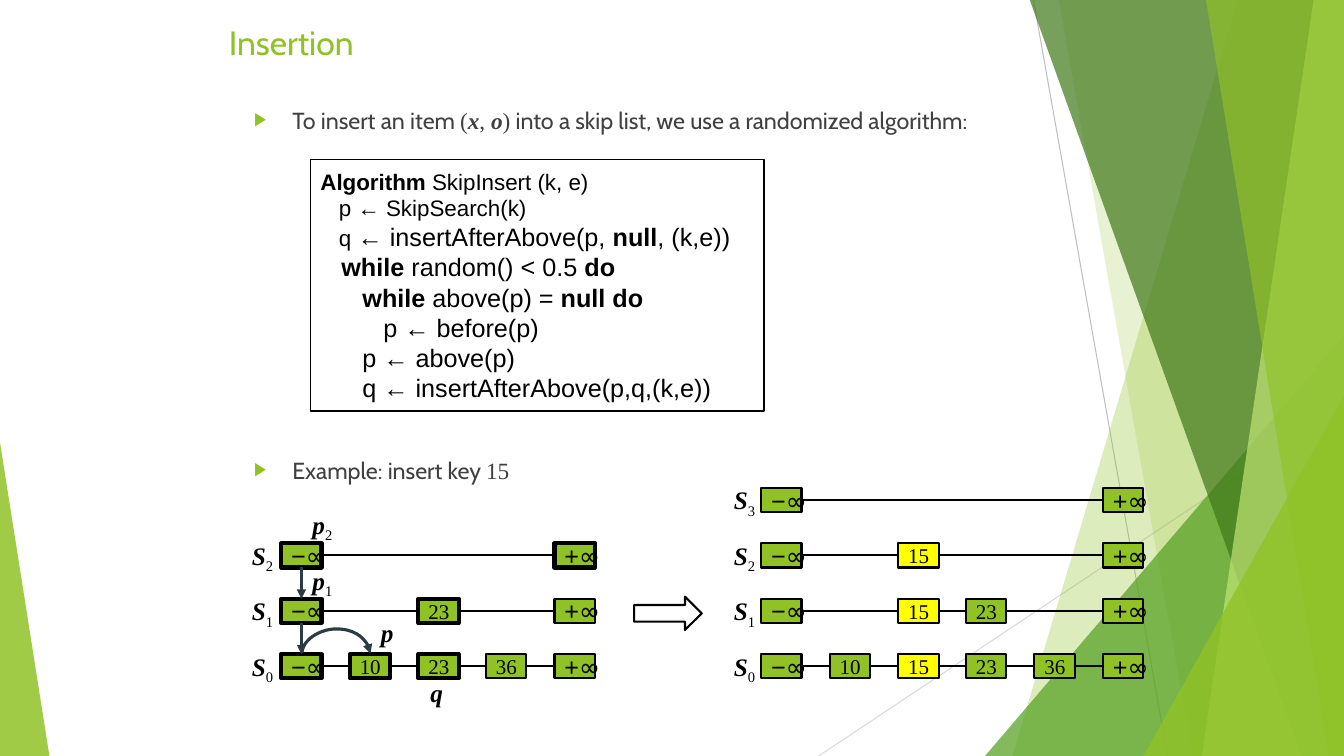
from dataclasses import dataclass
from itertools import pairwise

import pptx
import pptx.dml.color
import pptx.enum.shapes
import pptx.enum.text
import pptx.oxml
import pptx.oxml.ns
import pptx.util
from lxml import etree

RGB = pptx.dml.color.RGBColor
LIME = RGB(0x90, 0xC2, 0x26)
GREEN = RGB(0x54, 0xA0, 0x21)
FOREST = RGB(0x3F, 0x78, 0x19)
PALE_LIME = RGB(0xC0, 0xE4, 0x74)
YELLOW = RGB(0xFF, 0xFF, 0x00)
WHITE = RGB(0xFF, 0xFF, 0xFF)
BLACK = RGB(0, 0, 0)
TEXT_GREY = RGB(0x40, 0x40, 0x40)
SLATE = RGB(0x2C, 0x3C, 0x43)
MID_GREY = RGB(0xBF, 0xBF, 0xBF)
LIGHT_GREY = RGB(0xD9, 0xD9, 0xD9)

SCALE = 9144  # EMU per px, 100 px to the inch
WIDTH, HEIGHT = 1333, 750
CELL_WIDTH, CELL_HEIGHT = 40, 24
COLUMN_STEP, LEVEL_STEP = 67.8, 55
LEVEL_0_TOP = 649
SHAPE = pptx.enum.shapes.MSO_SHAPE
CONNECTOR = pptx.enum.shapes.MSO_CONNECTOR
ANCHOR = pptx.enum.text.MSO_ANCHOR
TIMES = "Times New Roman"


@dataclass
class Band:
    top_x: int
    bottom_x: int
    color: RGB
    alpha: int


@dataclass
class Wedge:
    left: int
    top: int
    width: int
    height: int
    apex: int
    color: RGB
    alpha: int


@dataclass
class Node:
    key: str
    column: int
    weight: float = 1.5
    fill: RGB = LIME


@dataclass
class Level:
    number: int
    nodes: list[Node]


FACETS = [
    Band(1228, 1004, LIME, 30), Band(1050, 1183, LIME, 20),
    Wedge(977, 333, 356, 417, 1, GREEN, 72),
    Band(1021, 1291, FOREST, 70), Band(1303, 1192, PALE_LIME, 70),
    Band(1196, 1318, LIME, 65),
    Wedge(1134, 393, 199, 357, 1, LIME, 80),
    Wedge(0, 439, 49, 311, 0, LIME, 85),
]
BEFORE = [
    Level(2, [Node("−∞", 0, 3), Node("+∞", 4, 3)]),
    Level(1, [Node("−∞", 0, 3), Node("23", 2, 3), Node("+∞", 4)]),
    Level(0, [Node("−∞", 0, 3), Node("10", 1, 3), Node("23", 2, 3), Node("36", 3), Node("+∞", 4)]),
]
NEW = Node("15", 2, fill=YELLOW)
AFTER = [
    Level(3, [Node("−∞", 0), Node("+∞", 5)]),
    Level(2, [Node("−∞", 0), NEW, Node("+∞", 5)]),
    Level(1, [Node("−∞", 0), NEW, Node("23", 3), Node("+∞", 5)]),
    Level(0, [Node("−∞", 0), Node("10", 1), NEW, Node("23", 3), Node("36", 4), Node("+∞", 5)]),
]
# Each line holds (text, size, bold) spans
ALGORITHM = [
    [("Algorithm", 16, True), (" SkipInsert (k, e)", 16, False)],
    [("   p ← SkipSearch(k)", 16, False)],
    [("   q ", 16, False), ("← insertAfterAbove(p, ", 18, False), ("null", 18, True),
     (", (k,e))", 18, False)],
    [("   ", 18, False), ("while", 18, True), (" random() < 0.5 ", 18, False), ("do", 18, True)],
    [("      ", 18, False), ("while", 18, True), (" above(p) = ", 18, False),
     ("null do", 18, True)],
    [("         p ← before(p)", 18, False)],
    [("      p ← above(p)", 18, False)],
    [("      q ← insertAfterAbove(p,q,(k,e))", 18, False)],
]


def px(length: int) -> pptx.util.Emu:
    return pptx.util.Emu(length * SCALE)


def place(box, left: int, top: int, width: int, height: int) -> None:
    box.left, box.top, box.width, box.height = map(px, (left, top, width, height))


def add_span(para, text: str, *, size: float = 18, font: str = TIMES, color: RGB = BLACK,
             bold: bool = False, italic: bool = False, subscript: bool = False) -> None:
    span = para.add_run()
    span.text = text
    span.font.size = pptx.util.Pt(size)
    span.font.name = font
    span.font.color.rgb = color
    span.font.bold, span.font.italic = bold, italic
    if subscript:
        span.font._element.set("baseline", "-25000")


def add_box(page, kind, bounds: tuple, fill: RGB | None, weight: float):
    box = page.shapes.add_shape(kind, *map(px, bounds))
    box.shadow.inherit = False
    if fill is None:
        box.fill.background()
    else:
        box.fill.solid()
        box.fill.fore_color.rgb = fill
    box.line.color.rgb = BLACK
    box.line.width = pptx.util.Pt(weight)
    box.text_frame.word_wrap = False
    box.text_frame.vertical_anchor = ANCHOR.MIDDLE
    box.text_frame.paragraphs[0].alignment = pptx.enum.text.PP_ALIGN.LEFT
    return box


def add_line(page, start: tuple, end: tuple, color: RGB = BLACK, weight: float = 1.5,
             kind=CONNECTOR.STRAIGHT, arrow: bool = False):
    line = page.shapes.add_connector(kind, *map(px, (*start, *end)))
    line.line.color.rgb = color
    line.line.width = pptx.util.Pt(weight)
    if arrow:
        etree.SubElement(line.line._get_or_add_ln(), pptx.oxml.ns.qn("a:tailEnd"), type="triangle")
    etree.SubElement(line._element.spPr, pptx.oxml.ns.qn("a:effectLst"))
    return line


def join(page, first, first_site: int, second, second_site: int, **style) -> None:
    line = add_line(page, (0, 0), (0, 0), **style)
    line.begin_connect(first, first_site)
    line.end_connect(second, second_site)


def add_label(page, left: int, top: int, letter: str, index: str = "") -> None:
    box = page.shapes.add_textbox(*map(px, (left, top, 42 if index else 33, 40)))
    box.text_frame.word_wrap = False
    para = box.text_frame.paragraphs[0]
    add_span(para, letter, bold=True, italic=True)
    if index:
        add_span(para, index, subscript=True)


def add_facet(page, facet: Band | Wedge) -> None:
    if isinstance(facet, Band):
        outline = page.shapes.build_freeform(facet.top_x, -1, scale=SCALE)
        outline.add_line_segments([(WIDTH, -1), (WIDTH, HEIGHT), (facet.bottom_x, HEIGHT)])
        shape = outline.convert_to_shape()
    else:
        bounds = (facet.left, facet.top, facet.width, facet.height)
        shape = page.shapes.add_shape(SHAPE.ISOSCELES_TRIANGLE, *map(px, bounds))
        shape.adjustments[0] = facet.apex
    shape.shadow.inherit = False
    shape.line.fill.background()
    shape.fill.solid()
    shape.fill.fore_color.rgb = facet.color
    color = shape._element.spPr.find(".//" + pptx.oxml.ns.qn("a:srgbClr"))
    etree.SubElement(color, pptx.oxml.ns.qn("a:alpha"), val=str(facet.alpha * 1000))


def add_skip_list(page, left: int, label_left: int, levels: list[Level]) -> dict:
    cells = {}
    for level in levels:
        top = LEVEL_0_TOP - LEVEL_STEP * level.number
        add_label(page, label_left, top - 8, "S", str(level.number))
        row = []
        for node in level.nodes:
            bounds = (round(left + COLUMN_STEP * node.column), top, CELL_WIDTH, CELL_HEIGHT)
            cell = add_box(page, SHAPE.RECTANGLE, bounds, node.fill, node.weight)
            para = cell.text_frame.paragraphs[0]
            if node.key.endswith("∞"):
                add_span(para, node.key[0], font="Arial")
                add_span(para, "∞", font="Cabin")
            else:
                add_span(para, node.key, size=15)
            row.append(cell)
            cells[level.number, node.column] = cell
        for first, second in pairwise(row):
            join(page, first, 3, second, 1)
    return cells


def add_bullet(para, space_before: float) -> None:
    properties = para._p.get_or_add_pPr()
    properties.set("marL", str(px(38)))
    properties.set("indent", str(px(-38)))
    namespace = pptx.oxml.ns.nsdecls("a")
    for element in (f'<a:buClr {namespace}><a:srgbClr val="{LIME}"/></a:buClr>',
                    f'<a:buSzPct {namespace} val="80000"/>',
                    f'<a:buFont {namespace} typeface="Arial"/>',
                    f'<a:buChar {namespace} char="▶"/>'):
        properties.append(pptx.oxml.parse_xml(element))
    para.line_spacing = 0.7
    para.space_before = pptx.util.Pt(space_before)


def main() -> None:
    deck = pptx.Presentation()
    deck.slide_width, deck.slide_height = px(WIDTH), px(HEIGHT)
    page = deck.slides.add_slide(deck.slide_layouts[1])

    # Background facets
    add_line(page, (1025, 0), (1158, HEIGHT), MID_GREY, 0.75)
    add_line(page, (WIDTH, 403), (812, HEIGHT), LIGHT_GREY, 0.75)
    for facet in FACETS:
        add_facet(page, facet)

    # Title and bullets
    title, body = page.shapes.title, page.placeholders[1]
    place(title, 217, 17, 900, 75)
    place(body, 242, 108, 842, 392)
    for box in (title, body):
        box.text_frame.auto_size = pptx.enum.text.MSO_AUTO_SIZE.NONE
        box.text_frame.vertical_anchor = ANCHOR.TOP
    heading = title.text_frame.paragraphs[0]
    heading.alignment = pptx.enum.text.PP_ALIGN.LEFT
    add_span(heading, "Insertion", size=24, font="Cabin", color=LIME)
    intro, example = body.text_frame.paragraphs[0], body.text_frame.add_paragraph()
    add_bullet(intro, 0)
    add_bullet(example, 236)
    bullet_style = {"size": 16.6, "color": TEXT_GREY}
    add_span(intro, "To insert an item ", font="Cabin", **bullet_style)
    for text in ("(", "x", ", ", "o", ")"):
        add_span(intro, text, bold=text.isalpha(), italic=text.isalpha(), **bullet_style)
    add_span(intro, " into a skip list, we use a randomized algorithm:", font="Cabin",
             **bullet_style)
    add_span(example, "Example: insert key ", font="Cabin", **bullet_style)
    add_span(example, "15", **bullet_style)

    # Skip lists before and after the insertion
    cells = add_skip_list(page, 279, 240, BEFORE)
    add_skip_list(page, 755, 718, AFTER)
    arrow = add_box(page, SHAPE.RIGHT_ARROW, (629, 592, 67, 33), None, 1.5)
    arrow.adjustments[1] = 0.503

    # Search route
    for number in (2, 1):
        join(page, cells[number, 0], 2, cells[number - 1, 0], 0,
             color=SLATE, weight=2.25, arrow=True)
    hop = add_line(page, (333, 614), (334, 682), SLATE, 2.25, CONNECTOR.CURVE, arrow=True)
    frame = hop._element.spPr.find(pptx.oxml.ns.qn("a:xfrm"))
    frame.set("rot", "5400000")
    frame.set("flipV", "1")
    guides = hop._element.spPr.find(".//" + pptx.oxml.ns.qn("a:avLst"))
    etree.SubElement(guides, pptx.oxml.ns.qn("a:gd"), name="adj1", fmla="val -2400000")
    for left, top, letter, index in ((368, 608, "p", ""), (300, 556, "p", "1"),
                                     (300, 500, "p", "2"), (417, 667, "q", "")):
        add_label(page, left, top, letter, index)

    # Algorithm
    listing = add_box(page, SHAPE.RECTANGLE, (308, 158, 450, 250), WHITE, 1)
    for number, spans in enumerate(ALGORITHM):
        frame = listing.text_frame
        para = frame.add_paragraph() if number else frame.paragraphs[0]
        para.alignment = pptx.enum.text.PP_ALIGN.LEFT
        for text, size, bold in spans:
            add_span(para, text, size=size, font="Arial", bold=bold)

    deck.save("out.pptx")


if __name__ == "__main__":
    main()
